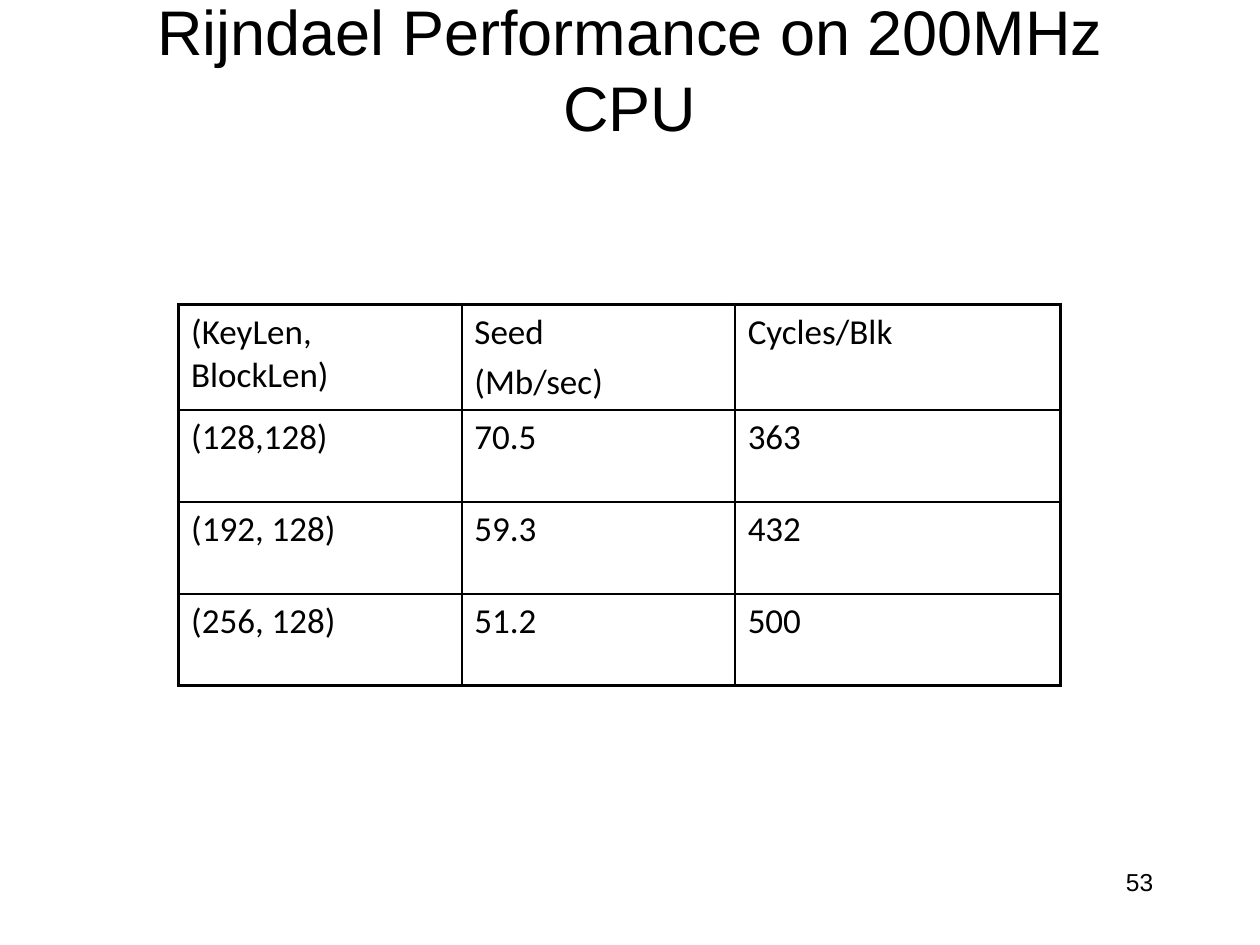
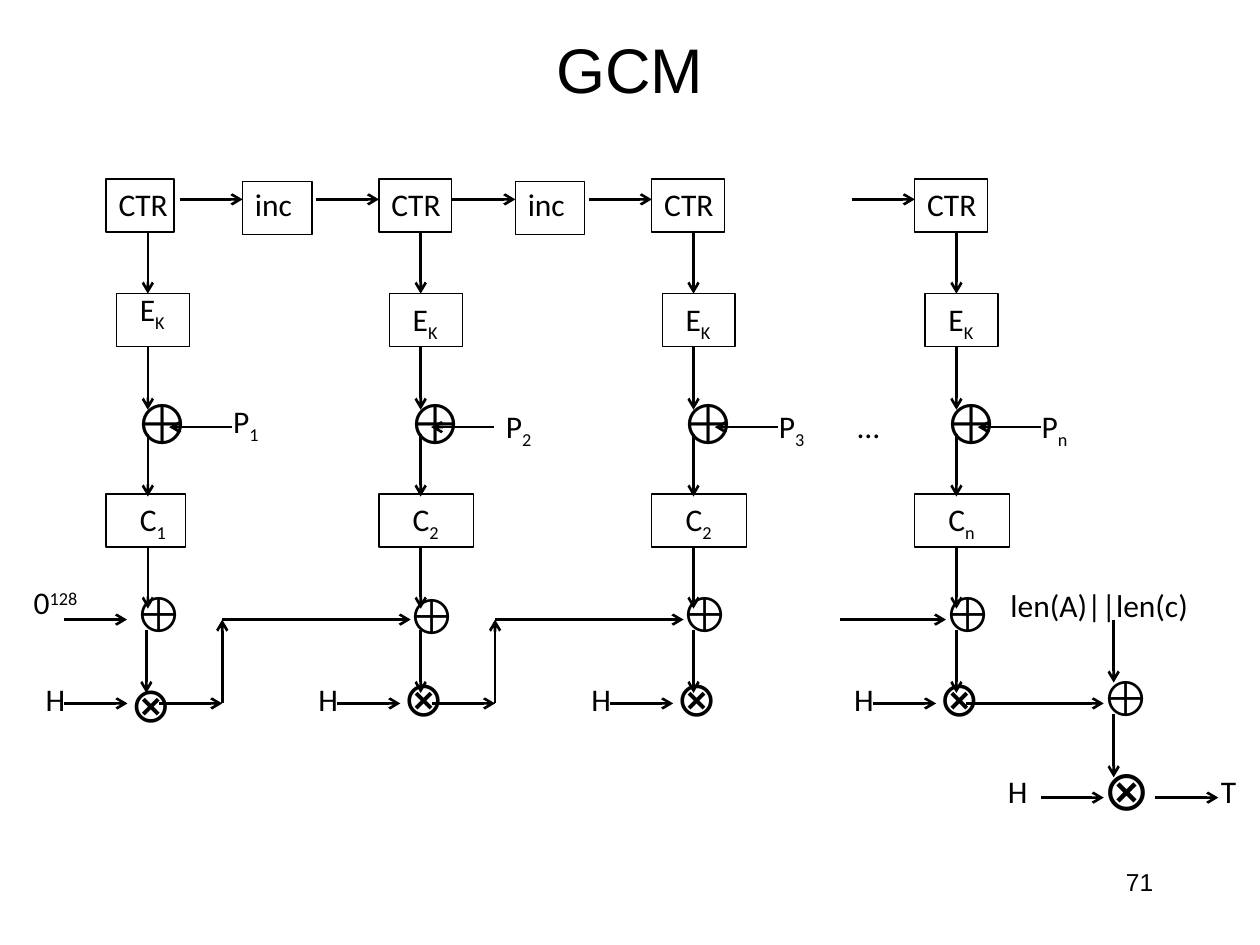
from dataclasses import dataclass

from lxml.etree import SubElement
from pptx import Presentation
from pptx.dml.color import RGBColor
from pptx.enum.shapes import MSO_CONNECTOR as Connector, MSO_SHAPE as Shape
from pptx.enum.text import MSO_ANCHOR as Anchor, MSO_AUTO_SIZE as AutoSize, PP_ALIGN as Align
from pptx.oxml.ns import qn
from pptx.util import Cm, Pt

BLACK = RGBColor(0x00, 0x00, 0x00)

TITLE_FONT = {"name": "Arial", "size": Pt(36)}
NUMBER_FONT = {"name": "Arial", "size": Pt(14)}
TABLE_FONT = {"name": "Calibri", "size": Pt(20)}
LABEL_FONT = {"name": "Calibri", "size": Pt(18)}
XOR_FONT = {"name": "Arial", "size": Pt(28)}
BIG_XOR_FONT = {"name": "Arial", "size": Pt(32)}
TIMES_FONT = {"name": "Calibri", "size": Pt(28)}
BIG_TIMES_FONT = {"name": "Calibri", "size": Pt(32)}

FIXED_FRAME = {"word_wrap": True, "auto_size": AutoSize.NONE}
LABEL_FRAME = {"word_wrap": False, "auto_size": AutoSize.SHAPE_TO_FIT_TEXT}
SYMBOL_FRAME = {"word_wrap": True, "auto_size": AutoSize.SHAPE_TO_FIT_TEXT}

PERFORMANCE = [
    ["(KeyLen, BlockLen)", "Seed\n(Mb/sec)", "Cycles/Blk"],
    ["(128,128)", "70.5", "363"],
    ["(192, 128)", "59.3", "432"],
    ["(256, 128)", "51.2", "500"],
]
COLUMN_WIDTHS = [5.71, 5.51, 6.56]
ROW_HEIGHTS = [2.13, 1.85, 1.85, 1.85]

BOX_HEIGHT = 1.07
STEP = 1.27
COUNTER_Y = 3.61
COUNTER_FLOW_Y = 4.02
CIPHER_Y = 5.92
PLAIN_FLOW_Y = 8.61
OUTPUT_Y = 9.96
SUM_Y = 11.63
SUM_FLOW_Y = 12.49
PRODUCT_Y = 13.34
HASH_KEY_Y = 13.59
PRODUCT_FLOW_Y = 14.18
DOWN_STEPS = [4.65, 6.99, 8.74, 11]


@dataclass
class Lane:
    x: float
    plain: str
    output: str
    counter_width: float = 1.47
    output_width: float = 1.91
    cipher_y: float = CIPHER_Y
    plain_y: float = 8.08
    plain_tip: float = 1.27
    sum_y: float = SUM_Y
    product_y: float = PRODUCT_Y
    product_down: float = 0.84


LANES = [
    Lane(2.14, "1", "1", counter_width=1.37, output_width=1.6, cipher_y=5.72,
         plain_y=7.98, product_y=13.46, product_down=0.81),
    Lane(7.64, "2", "2", plain_tip=1.05, sum_y=11.68),
    Lane(13.14, "3", "2"),
    Lane(18.44, "n", "n"),
]


def apply(target, formats):
    for attribute, value in formats.items():
        setattr(target, attribute, value)


def add_run(paragraph, text, font, baseline=0):
    run = paragraph.add_run()
    run.text = text
    apply(run.font, font)
    run.font.color.rgb = BLACK
    if baseline:
        run._r.get_or_add_rPr().set("baseline", str(baseline * 1000))


def add_text(slide, text, x, y, width, height, font=LABEL_FONT, frame=LABEL_FRAME,
             align=Align.LEFT, anchor=Anchor.TOP, script="", baseline=-25):
    box = slide.shapes.add_textbox(Cm(x), Cm(y), Cm(width), Cm(height))
    apply(box.text_frame, {**frame, "vertical_anchor": anchor})
    paragraph = box.text_frame.paragraphs[0]
    paragraph.alignment = align
    add_run(paragraph, text, font)
    if script:
        add_run(paragraph, script, font, baseline)


def add_xor(slide, x, y, font=XOR_FONT):
    add_text(slide, "⊕", x, y, 1.14, 1.45, font, SYMBOL_FRAME)


def add_times(slide, x, y, font=TIMES_FONT, width=1.02):
    add_text(slide, "⊗", x, y, width, 1.45, font)


def add_box(slide, x, y, width):
    box = slide.shapes.add_shape(Shape.RECTANGLE, Cm(x), Cm(y), Cm(width), Cm(BOX_HEIGHT))
    box.shadow.inherit = False
    box.fill.background()
    box.line.color.rgb = BLACK
    box.line.width = Pt(0.75)


def add_arrow(slide, x, y, dx=0, dy=0):
    arrow = slide.shapes.add_connector(
        Connector.STRAIGHT, Cm(x), Cm(y), Cm(x + dx), Cm(y + dy))
    arrow.line.color.rgb = BLACK
    arrow.line.width = Pt(1.5)
    SubElement(arrow.line._get_or_add_ln(), qn("a:tailEnd"), type="arrow")
    SubElement(arrow._element.spPr, qn("a:effectLst"))


def add_border(cell, side, points):
    line = SubElement(cell._tc.get_or_add_tcPr(), qn(f"a:ln{side}"), w=str(Pt(points)))
    SubElement(SubElement(line, qn("a:solidFill")), qn("a:srgbClr"), val=str(BLACK))


def fill_cell(cell, text, outer_sides):
    for side in "LRTB":
        add_border(cell, side, 2.25 if side in outer_sides else 1)
    cell.fill.background()
    for index, line in enumerate(text.split("\n")):
        frame = cell.text_frame
        paragraph = frame.add_paragraph() if index else frame.paragraphs[0]
        if index:
            paragraph.space_before = Pt(4)
        add_run(paragraph, line, TABLE_FONT)


def add_performance_table(slide):
    last_row, last_column = len(PERFORMANCE) - 1, len(COLUMN_WIDTHS) - 1
    table = slide.shapes.add_table(
        len(PERFORMANCE), len(COLUMN_WIDTHS), Cm(3.6), Cm(6.14),
        Cm(sum(COLUMN_WIDTHS)), Cm(sum(ROW_HEIGHTS))).table
    apply(table, {"first_row": False, "horz_banding": False})
    for column, width in zip(table.columns, COLUMN_WIDTHS):
        column.width = Cm(width)
    for row, height in zip(table.rows, ROW_HEIGHTS):
        row.height = Cm(height)
    for r, values in enumerate(PERFORMANCE):
        for c, value in enumerate(values):
            edges = {"L": c == 0, "R": c == last_column, "T": r == 0, "B": r == last_row}
            fill_cell(table.cell(r, c), value, [side for side, outer in edges.items() if outer])


def add_titled_slide(deck, title, number):
    slide = deck.slides.add_slide(deck.slide_layouts[6])
    add_text(slide, str(number), 18.2, 17.35, 5.3, 1.27, NUMBER_FONT, FIXED_FRAME, Align.RIGHT)
    add_text(slide, title, 1.9, 0.21, 21.6, 2.33, TITLE_FONT, FIXED_FRAME,
             Align.CENTER, Anchor.MIDDLE)
    return slide


def add_hash_key(slide, x, y, arrow_x, arrow_y):
    add_text(slide, "H", x, y, 0.91, 1.02)
    add_arrow(slide, arrow_x, arrow_y, dx=STEP)


def add_lane(slide, lane):
    x = lane.x
    add_box(slide, x, COUNTER_Y, lane.counter_width)
    add_text(slide, "CTR", x, COUNTER_Y, 1.52, 1.02)
    add_box(slide, x + 0.21, CIPHER_Y, 1.47)
    add_text(slide, "E", x + 0.43, lane.cipher_y, 1.04, 1.02, script="K")
    add_xor(slide, x + 0.33, 7.7, BIG_XOR_FONT)
    add_text(slide, "P", x + 2.31, lane.plain_y, 1.07, 1.02, script=lane.plain)
    add_arrow(slide, x + lane.plain_tip + STEP, PLAIN_FLOW_Y, dx=-STEP)
    add_box(slide, x, OUTPUT_Y, lane.output_width)
    add_text(slide, "C", x + 0.43, OUTPUT_Y, 1.09, 1.02, script=lane.output)
    for y in DOWN_STEPS:
        add_arrow(slide, x + 0.84, y, dy=STEP)
    add_xor(slide, x + 0.33, lane.sum_y)
    add_arrow(slide, x + lane.product_down, 12.7, dy=STEP)
    add_times(slide, x + 0.24, lane.product_y)
    add_hash_key(slide, x - 1.47, HASH_KEY_Y, x - 0.84, PRODUCT_FLOW_Y)


def add_increment(slide, x):
    add_box(slide, x + 2.75, 3.66, 1.4)
    add_text(slide, "inc", x + 2.75, COUNTER_Y, 1.27, 1.02)
    add_arrow(slide, x + 1.48, COUNTER_FLOW_Y, dx=STEP)


def add_chaining(slide, x):
    turn = x + 2.34
    add_arrow(slide, turn - STEP, PRODUCT_FLOW_Y, dx=STEP)
    add_arrow(slide, turn, PRODUCT_FLOW_Y, dy=SUM_FLOW_Y - PRODUCT_FLOW_Y)
    add_arrow(slide, turn, SUM_FLOW_Y, dx=3.8)


def add_tag_output(slide):
    down_x = 22.45
    add_text(slide, "len(A)||len(c)", 20.12, 11.68, 4.14, 1.02)
    add_arrow(slide, down_x, SUM_FLOW_Y, dy=STEP)
    add_arrow(slide, 19.48, PRODUCT_FLOW_Y, dx=2.77)
    add_xor(slide, 21.95, PRODUCT_Y)
    add_arrow(slide, down_x, 14.4, dy=STEP)
    add_hash_key(slide, 20.07, 15.44, 20.98, 16.08)
    add_times(slide, 22, 15.09, BIG_TIMES_FONT, 1.09)
    add_arrow(slide, 23.29, 16.08, dx=STEP)
    add_text(slide, "T", 24.36, 15.44, 0.84, 1.02)


def add_gcm_diagram(slide):
    for lane in LANES:
        add_lane(slide, lane)
    for lane in LANES[:2]:
        add_increment(slide, lane.x)
        add_chaining(slide, lane.x)
    for lane in LANES[1:]:
        add_arrow(slide, lane.x - STEP, COUNTER_FLOW_Y, dx=STEP)
    add_text(slide, "0", 0.43, SUM_Y, 1.5, 1.02, script="128", baseline=30)
    add_arrow(slide, 1.29, SUM_FLOW_Y, dx=STEP)
    add_text(slide, "…", 17.04, 8.08, 0.97, 1.02)
    add_arrow(slide, 16.94, SUM_FLOW_Y, dx=2.13)
    add_tag_output(slide)


def main():
    deck = Presentation()
    apply(deck, {"slide_width": Cm(25.4), "slide_height": Cm(19.05)})
    add_performance_table(add_titled_slide(deck, "Rijndael Performance on 200MHz CPU", 53))
    add_gcm_diagram(add_titled_slide(deck, "GCM", 71))
    deck.save("out.pptx")


if __name__ == "__main__":
    main()
